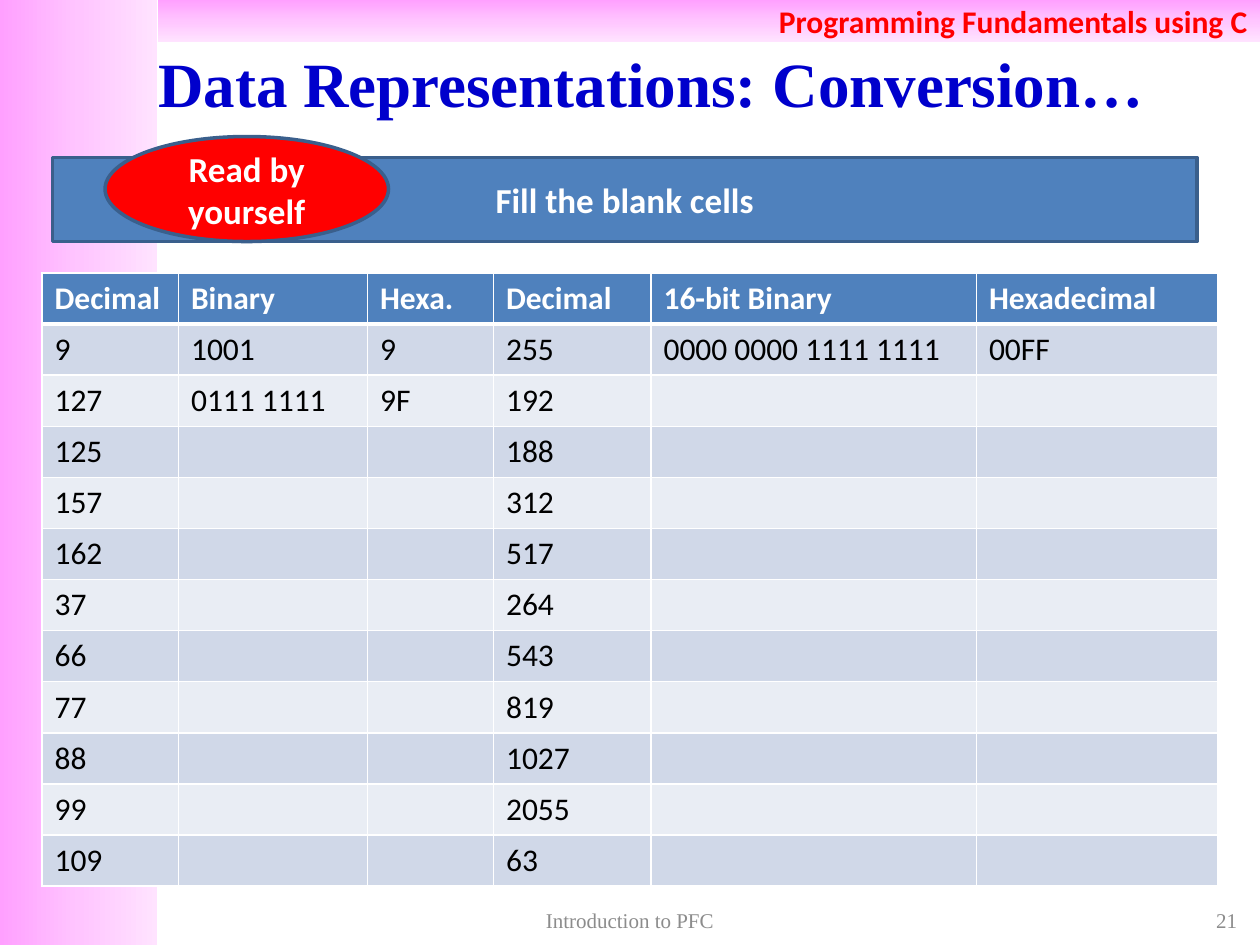
from copy import deepcopy

from lxml import etree
from pptx import Presentation
from pptx.dml.color import RGBColor
from pptx.enum.shapes import MSO_SHAPE
from pptx.enum.text import MSO_ANCHOR, PP_ALIGN
from pptx.oxml.ns import qn
from pptx.util import Pt

RECTANGLE = MSO_SHAPE.RECTANGLE
OVAL = MSO_SHAPE.OVAL
MIDDLE = MSO_ANCHOR.MIDDLE
LEFT, CENTER, RIGHT = PP_ALIGN.LEFT, PP_ALIGN.CENTER, PP_ALIGN.RIGHT

WHITE = RGBColor(0xFF, 0xFF, 0xFF)
BLACK = RGBColor(0x00, 0x00, 0x00)
RED = RGBColor(0xFF, 0x00, 0x00)
TITLE_BLUE = RGBColor(0x00, 0x00, 0xCC)
STEEL_BLUE = RGBColor(0x4F, 0x81, 0xBD)
OUTLINE_BLUE = RGBColor(0x3A, 0x5F, 0x8C)
ROW_DARK = RGBColor(0xD0, 0xD8, 0xE8)
ROW_LIGHT = RGBColor(0xE9, 0xED, 0xF4)
FOOTER_GREY = RGBColor(0x8C, 0x8C, 0x8C)
PINKS = [RGBColor(0xFF, 0xA0, 0xFF), RGBColor(0xFF, 0xC5, 0xFF), RGBColor(0xFF, 0xE3, 0xFF)]

SANS = "Calibri"
SERIF = "Times New Roman"

HEADINGS = ["Decimal", "Binary", "Hexa.", "Decimal", "16-bit Binary", "Hexadecimal"]
COLUMN_WIDTHS = [78, 108, 72, 90, 186, 138]
ROW_HEIGHT = 29.2
SOLVED_ROWS = [
    ["9", "1001", "9", "255", "0000 0000 1111 1111", "00FF"],
    ["127", "0111 1111", "9F", "192", "", ""],
]
EXERCISES = [
    ("125", "188"), ("157", "312"), ("162", "517"), ("37", "264"), ("66", "543"),
    ("77", "819"), ("88", "1027"), ("99", "2055"), ("109", "63"),
]


def write(frame, text, size, font, color, bold=False, align=LEFT):
    frame.text = text
    paragraph = frame.paragraphs[0]
    paragraph.alignment = align
    for run in paragraph.runs:
        run.font.size = Pt(size)
        run.font.name = font
        run.font.bold = bold
        run.font.color.rgb = color


def add_plain_shape(slide, kind, box):
    shape = slide.shapes.add_shape(kind, *map(Pt, box))
    shape.shadow.inherit = False
    shape.text_frame.vertical_anchor = MIDDLE
    return shape


def add_pink_band(slide, box, angle):
    band = add_plain_shape(slide, RECTANGLE, box)
    band.line.fill.background()
    band.fill.gradient()
    band.fill.gradient_angle = angle
    stop_list = band._element.spPr.find(".//" + qn("a:gsLst"))
    middle_stop = deepcopy(stop_list[0])
    middle_stop.set("pos", "50000")
    stop_list.insert(1, middle_stop)
    for stop, pink in zip(band.fill.gradient_stops, PINKS):
        stop.color.rgb = pink
    return band


def add_callout(slide, kind, box, text, color):
    callout = add_plain_shape(slide, kind, box)
    callout.fill.solid()
    callout.fill.fore_color.rgb = color
    callout.line.color.rgb = OUTLINE_BLUE
    callout.line.width = Pt(2)
    write(callout.text_frame, text, 20, SANS, WHITE, True, CENTER)


def add_footer(slide, box, text, align):
    frame = slide.shapes.add_textbox(*map(Pt, box)).text_frame
    frame.word_wrap = True
    frame.vertical_anchor = MIDDLE
    write(frame, text, 12, SERIF, FOOTER_GREY, align=align)


def place_title(slide, box, text):
    title = slide.shapes.title
    title.left, title.top, title.width, title.height = map(Pt, box)
    title.text_frame.vertical_anchor = MIDDLE
    write(title.text_frame, text, 36, SERIF, TITLE_BLUE, True, CENTER)
    slide.shapes._spTree.append(title._element)


def set_borders(cell, top, bottom):
    properties = cell._tc.get_or_add_tcPr()
    for side, width in (("L", 1), ("R", 1), ("T", top), ("B", bottom)):
        line = etree.SubElement(properties, qn(f"a:ln{side}"), w=str(Pt(width)))
        fill = etree.SubElement(line, qn("a:solidFill"))
        etree.SubElement(fill, qn("a:srgbClr"), val=str(WHITE))


def fill_row(table, index, values):
    is_header = index == 0
    if is_header:
        background = STEEL_BLUE
    else:
        background = ROW_DARK if index % 2 else ROW_LIGHT
    table.rows[index].height = Pt(ROW_HEIGHT)
    for column, value in enumerate(values):
        cell = table.cell(index, column)
        set_borders(cell, 3 if index == 1 else 1, 3 if is_header else 1)
        cell.fill.solid()
        cell.fill.fore_color.rgb = background
        if value:
            write(cell.text_frame, value, 18, SANS, WHITE if is_header else BLACK, is_header)


def add_conversion_table(slide, left, top):
    exercise_rows = [[first, "", "", second, "", ""] for first, second in EXERCISES]
    rows = [HEADINGS] + SOLVED_ROWS + exercise_rows
    table = slide.shapes.add_table(
        len(rows), len(HEADINGS), Pt(left), Pt(top),
        Pt(sum(COLUMN_WIDTHS)), Pt(ROW_HEIGHT * len(rows)),
    ).table
    for column, width in zip(table.columns, COLUMN_WIDTHS):
        column.width = Pt(width)
    for index, values in enumerate(rows):
        fill_row(table, index, values)


def main():
    deck = Presentation()
    deck.slide_width, deck.slide_height = Pt(720), Pt(540)
    slide = deck.slides.add_slide(deck.slide_layouts[5])

    add_pink_band(slide, (0, 0, 90, 540), 0)
    course_band = add_pink_band(slide, (90, 0, 630, 24), 270)
    write(course_band.text_frame, "Programming Fundamentals using C", 18, SANS, RED, True, RIGHT)
    place_title(slide, (60, 21.6, 624, 50.4), "Data Representations: Conversion…")
    add_footer(slide, (546, 516, 168, 19.5), "21", RIGHT)
    add_footer(slide, (246, 516, 228, 19.5), "Introduction to PFC", CENTER)
    add_conversion_table(slide, 24, 156)
    add_callout(slide, RECTANGLE, (30, 90, 654, 48), "Fill the blank cells", STEEL_BLUE)
    add_callout(slide, OVAL, (60, 78, 162, 60), "Read by yourself", RED)

    deck.save("out.pptx")


if __name__ == "__main__":
    main()
